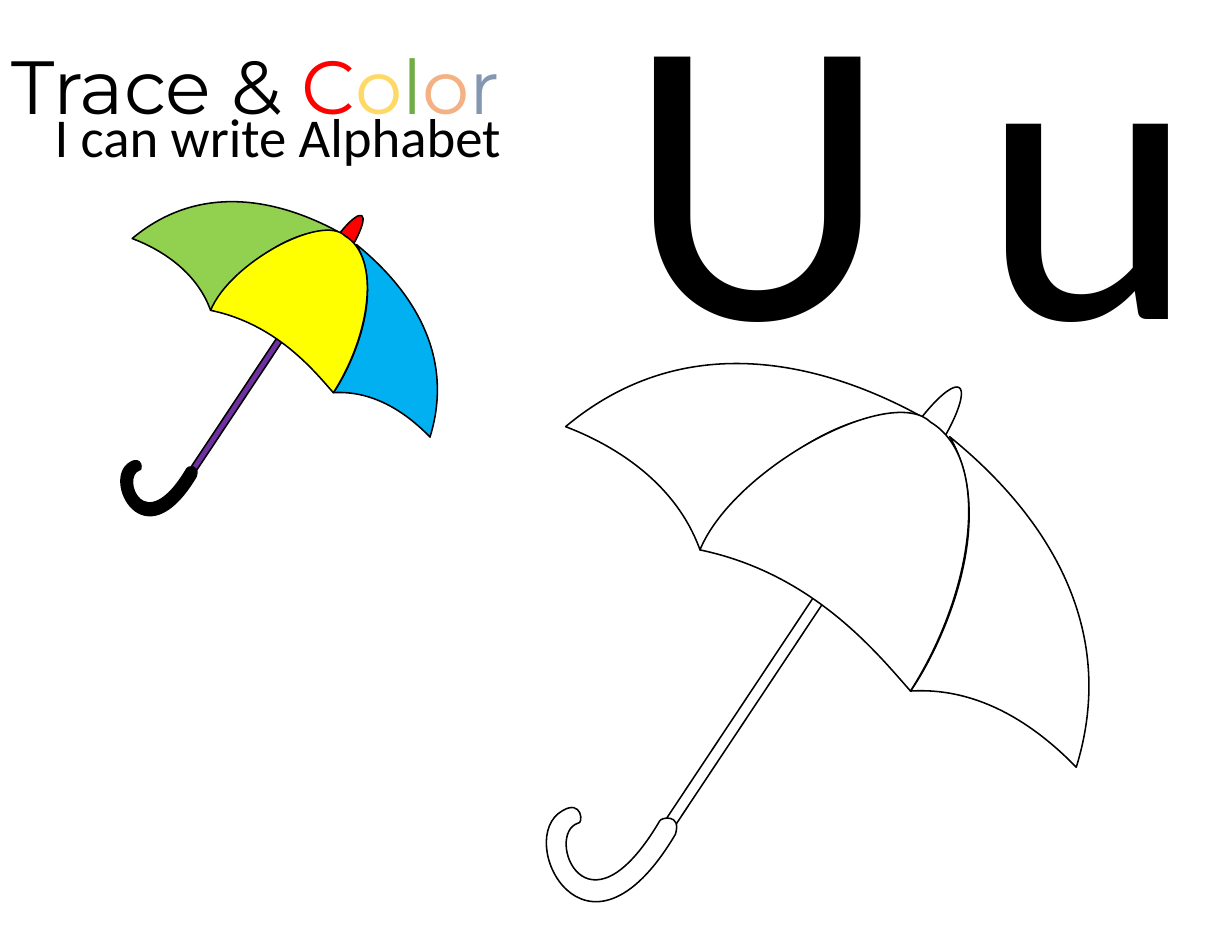
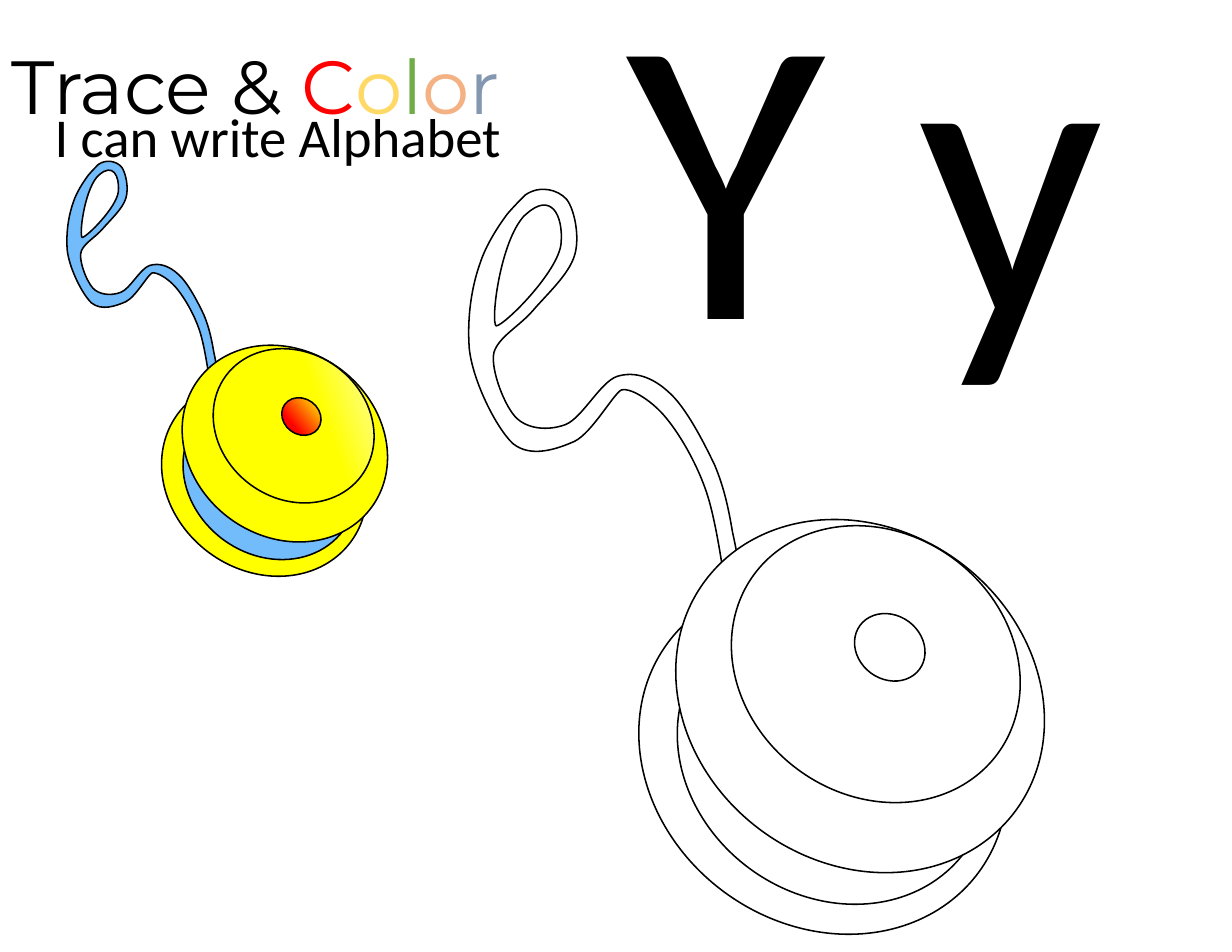
import math

import pptx
import pptx.util
import pptx.dml.color
import pptx.enum.shapes
import pptx.enum.text
import pptx.oxml.ns
import lxml.etree

Inches = pptx.util.Inches
Pt = pptx.util.Pt
qn = pptx.oxml.ns.qn
SHAPE = pptx.enum.shapes.MSO_SHAPE

BLACK, WHITE, RED, YELLOW = "000000", "FFFFFF", "FF0000", "FFFF00"
STRING_BLUE = "72BCFB"
TITLE = [("Trace & ", BLACK), ("C", RED), ("o", "FFD966"), ("l", "70AD47"),
         ("o", "F4B183"), ("r", "8497B0")]
TITLE_BOX = (0, 0.3, 5.51, 0.92)
SUBTITLE = [("I can write Alphabet", BLACK)]
SUBTITLE_BOX = (0.39, 0.87, 4.33, 0.69)
LETTERS_BOX = (5.5, -0.85, 6.57, 4.53)

LEFT_PANEL = [[(5.05, 3.81),
               (6.22, 2.83, 7.55, 3.35, 8.21, 3.71),
               (7.32, 3.59, 6.49, 4.52, 6.25, 4.91),
               (6.03, 4.3, 5.47, 3.97, 5.05, 3.81)]]
RIGHT_PANEL = [[(9.61, 6.85),
                (10.06, 5.39, 9.06, 4.37, 8.48, 3.9),
                (8.93, 4.67, 8.39, 5.8, 8.13, 6.17),
                (8.78, 6.13, 9.29, 6.52, 9.61, 6.85)]]
MIDDLE_PANEL = [[(8.13, 6.17),
                 (8.7, 5.28, 8.86, 4.1, 8.31, 3.77),
                 (7.96, 3.42, 6.55, 4.18, 6.25, 4.91),
                 (7.26, 5.12, 7.83, 5.83, 8.13, 6.17)]]
HANDLE = [[(5.16, 7.35),
           (4.86, 7.45, 5.23, 8.45, 5.89, 7.33),
           (5.9, 7.3, 6.09, 7.26, 6.03, 7.45),
           (5.23, 8.8, 4.58, 7.49, 5.02, 7.24),
           (5.2, 7.13, 5.21, 7.36, 5.16, 7.35)]]
STRING = [[(4.53, 1.91),
           (4.59, 1.84, 4.65, 1.78, 4.69, 1.74),
           (4.82, 1.65, 4.98, 1.69, 5.06, 1.78),
           (5.13, 1.87, 5.18, 2.12, 5.13, 2.28),
           (5.08, 2.45, 4.88, 2.63, 4.76, 2.77),
           (4.64, 2.91, 4.48, 2.99, 4.42, 3.12),
           (4.36, 3.24, 4.49, 3.6, 4.6, 3.72),
           (4.7, 3.83, 4.89, 3.85, 5.05, 3.79),
           (5.2, 3.73, 5.36, 3.41, 5.51, 3.36),
           (5.67, 3.31, 5.83, 3.37, 5.97, 3.5),
           (6.12, 3.63, 6.28, 3.94, 6.38, 4.15),
           (6.47, 4.36, 6.51, 4.57, 6.54, 4.75),
           (6.58, 4.93, 6.62, 5.15, 6.61, 5.23),
           (6.6, 5.3, 6.54, 5.29, 6.5, 5.28),
           (6.49, 5.28),
           (6.48, 5.26),
           (6.45, 5.06, 6.39, 4.64, 6.31, 4.4),
           (6.22, 4.13, 6.06, 3.86, 5.93, 3.71),
           (5.8, 3.56, 5.62, 3.46, 5.55, 3.48),
           (5.48, 3.51, 5.29, 3.86, 5.13, 3.94),
           (4.97, 4.01, 4.74, 4.09, 4.58, 3.96),
           (4.43, 3.82, 4.22, 3.4, 4.19, 3.11),
           (4.17, 2.83, 4.21, 2.56, 4.29, 2.34),
           (4.34, 2.19, 4.44, 2.03, 4.53, 1.91)],
          [(4.66, 1.95),
           (4.46, 2.2, 4.38, 2.87, 4.43, 2.91),
           (4.51, 2.9, 4.99, 2.42, 5.01, 2.17),
           (5.03, 1.92, 4.92, 1.71, 4.7, 1.91),
           (4.68, 1.92, 4.67, 1.94, 4.66, 1.95)]]

UMBRELLA = {
    "scale": 2.66 / 4.56,
    "large_anchor": (5.05, 3.81),
    "small_anchor": (1.18, 2.13),
    "parts": [
        (SHAPE.RECTANGLE, (6.99, 3.67, 0.1, 4.18), 33.6, "7030A0"),
        (SHAPE.OVAL, (8.09, 3.36, 0.28, 1.21), 33.6, RED),
        (LEFT_PANEL, (5.88, 2.43, 1.61, 3.09), 75.9, "92D050"),
        (RIGHT_PANEL, (8.03, 3.86, 1.61, 3.09), 351.3, "00B0F0"),
        (MIDDLE_PANEL, (6.28, 3.77, 2.44, 2.48), 351.3, YELLOW),
        (HANDLE, (4.89, 7.01, 0.99, 1.05), 33.6, BLACK),
    ],
}
YOYO = {
    "scale": 1.66 / 2.98,
    "large_anchor": (7.35, 6.77),
    "small_anchor": (2.36, 4.27),
    "parts": [
        (SHAPE.OVAL, (5.86, 5.04, 2.98, 3.45), 306.4, YELLOW),
        (STRING, (4.3, 1.63, 1.99, 3.87), 168.8, STRING_BLUE),
        (SHAPE.OVAL, (6.18, 5.28, 2.52, 2.92), 306.4, STRING_BLUE),
        (SHAPE.OVAL, (6.19, 4.49, 2.98, 3.45), 306.4, YELLOW),
        (SHAPE.OVAL, (6.65, 4.58, 2.34, 2.7), 306.4,
         {"stops": [(0.61, YELLOW), (1, WHITE)], "angle": 340}),
        (SHAPE.OVAL, (7.66, 5.45, 0.57, 0.66), 306.4,
         {"stops": [(0.13, YELLOW), (0.67, RED)], "angle": 140}),
    ],
}
PAGES = [("U u", UMBRELLA), ("Y y", YOYO)]


def rgb(hex_color):
    return pptx.dml.color.RGBColor.from_string(hex_color)


def write(s, box, runs, font, size):
    s.left, s.top, s.width, s.height = map(Inches, box)
    tf = s.text_frame
    tf.word_wrap = True
    tf.auto_size = pptx.enum.text.MSO_AUTO_SIZE.SHAPE_TO_FIT_TEXT
    tf.vertical_anchor = pptx.enum.text.MSO_ANCHOR.TOP
    p = tf.paragraphs[0]
    p.alignment = pptx.enum.text.PP_ALIGN.LEFT
    p.line_spacing = 1.0
    for text, color in runs:
        r = p.add_run()
        r.text = text
        r.font.name = font
        r.font.size = Pt(size)
        r.font.color.rgb = rgb(color)


def paint(s, color):
    s.shadow.inherit = False
    s.line.color.rgb = rgb(BLACK)
    s.line.width = Pt(1)
    if isinstance(color, str):
        s.fill.solid()
        s.fill.fore_color.rgb = rgb(color)
        return
    s.fill.gradient()
    s.fill.gradient_angle = 360 - color["angle"]
    for stop, (position, stop_color) in zip(s.fill.gradient_stops, color["stops"]):
        stop.position = position
        stop.color.rgb = rgb(stop_color)
    s._element.spPr.find(qn("a:gradFill")).set("rotWithShape", "0")


def add_outline(shapes, contours, frame, rotation, left, top, scale):
    x, y, w, h = frame
    right, bottom = left + Inches(w * scale), top + Inches(h * scale)
    builder = shapes.build_freeform(left, top)
    builder.add_line_segments([(right, top), (right, bottom), (left, bottom)])
    s = builder.convert_to_shape()
    outline = next(s._element.iter(qn("a:path")))
    for child in list(outline):
        outline.remove(child)
    cos, sin = math.cos(math.radians(rotation)), math.sin(math.radians(rotation))

    def add_step(tag, numbers):
        step = lxml.etree.SubElement(outline, qn(tag))
        for px, py in zip(numbers[::2], numbers[1::2]):
            dx, dy = px - x - w / 2, py - y - h / 2
            pt = lxml.etree.SubElement(step, qn("a:pt"))
            pt.set("x", str(Inches((w / 2 + dx * cos + dy * sin) * scale)))
            pt.set("y", str(Inches((h / 2 - dx * sin + dy * cos) * scale)))

    for start, *steps in contours:
        add_step("a:moveTo", start)
        for numbers in steps:
            add_step("a:lnTo" if len(numbers) == 2 else "a:cubicBezTo", numbers)
        lxml.etree.SubElement(outline, qn("a:close"))
    return s


def draw(slide, toy, small):
    scale = toy["scale"] if small else 1
    base = toy["large_anchor"]
    target = toy["small_anchor"] if small else base
    shapes = slide.shapes.add_group_shape().shapes
    for kind, frame, rotation, color in toy["parts"]:
        x, y, w, h = frame
        left = Inches(target[0] + (x - base[0]) * scale)
        top = Inches(target[1] + (y - base[1]) * scale)
        if isinstance(kind, list):
            s = add_outline(shapes, kind, frame, rotation, left, top, scale)
        else:
            s = shapes.add_shape(kind, left, top, Inches(w * scale), Inches(h * scale))
        s.rotation = rotation
        paint(s, color if small else WHITE)


def main():
    prs = pptx.Presentation()
    prs.slide_width, prs.slide_height = Inches(11), Inches(8.5)
    for letters, toy in PAGES:
        slide = prs.slides.add_slide(prs.slide_layouts[5])
        write(slide.shapes.title, TITLE_BOX, TITLE, "Montserrat", 48.4)
        for box, runs, size in [(LETTERS_BOX, [(letters, BLACK)], 262.9),
                                (SUBTITLE_BOX, SUBTITLE, 35.2)]:
            s = slide.shapes.add_textbox(*map(Inches, box))
            write(s, box, runs, "Calibri", size)
        for small in (True, False):
            draw(slide, toy, small)
    prs.save("out.pptx")


if __name__ == "__main__":
    main()
